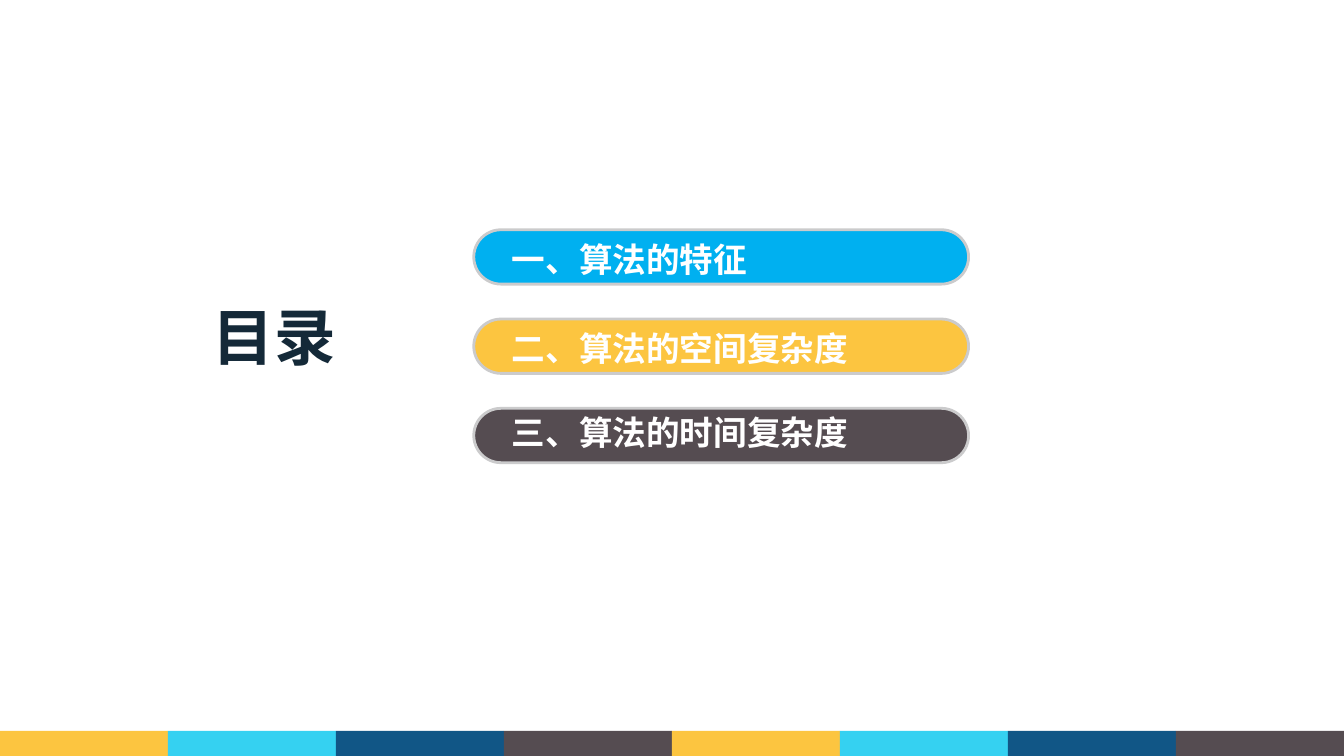
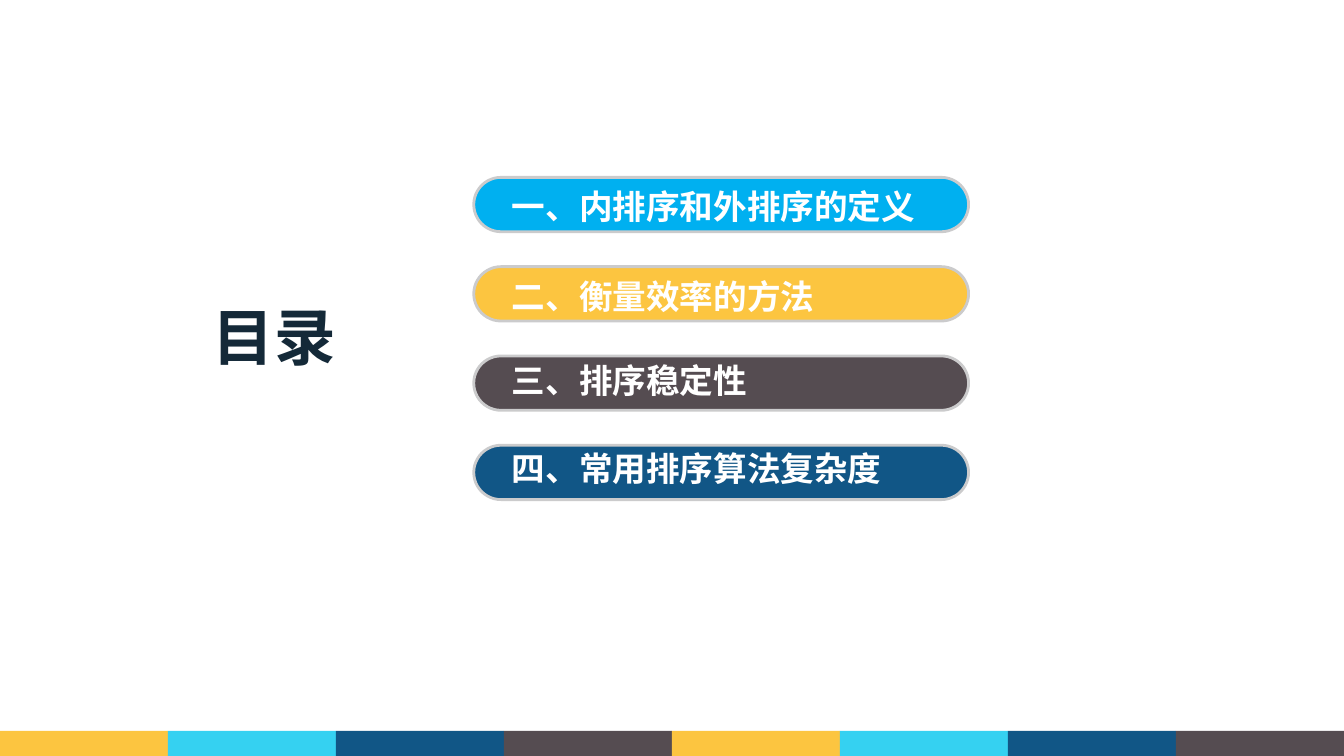
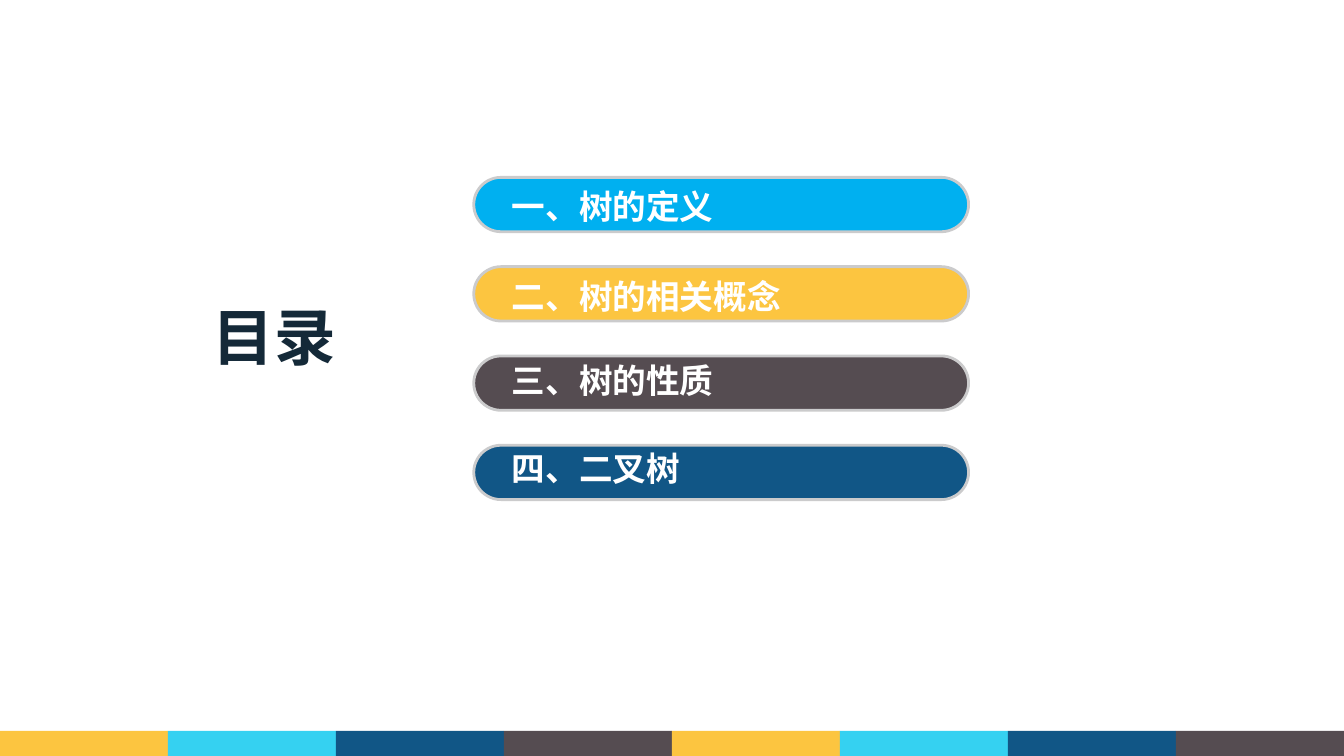
"""Builds three contents slides with coloured pills and a striped footer."""
from pptx import Presentation
from pptx.dml.color import RGBColor
from pptx.enum.shapes import MSO_SHAPE
from pptx.enum.text import MSO_AUTO_SIZE, PP_ALIGN
from pptx.oxml.ns import qn
from pptx.util import Cm, Pt

RECT = MSO_SHAPE.RECTANGLE
PILL = MSO_SHAPE.ROUNDED_RECTANGLE
GROW = MSO_AUTO_SIZE.SHAPE_TO_FIT_TEXT
LEFT, CENTER = PP_ALIGN.LEFT, PP_ALIGN.CENTER

FONT = "Noto Sans CJK SC"
YELLOW, CYAN, NAVY, BROWN = "FCC540", "35D1F1", "115686", "554C51"
BLUE, WHITE, INK, GREY = "00B0F0", "FFFFFF", "142938", "CBCBCC"
FOOTER = [YELLOW, CYAN, NAVY, BROWN] * 2
ITEM_STYLES = [(BLUE, 0.1), (YELLOW, 0.1), (BROWN, -0.03), (NAVY, -0.05)]

WIDTH, HEIGHT = 33.87, 19.05
BAND_H = 0.63
PILL_X, PILL_W, PILL_H, PITCH = 11.94, 12.47, 1.37, 2.25
TEXT_X, TEXT_W, TEXT_H = 12.65, 11.02, 1.27

CONTENTS = [
    (5.79, ["一、算法的特征", "二、算法的空间复杂度", "三、算法的时间复杂度"]),
    (4.47, ["一、内排序和外排序的定义", "二、衡量效率的方法",
            "三、排序稳定性", "四、常用排序算法复杂度"]),
    (4.47, ["一、树的定义", "二、树的相关概念", "三、树的性质", "四、二叉树"]),
]


def rgb(value):
    return RGBColor.from_string(value)


def add_box(shapes, kind, x, y, w, h, fill, line=None):
    sp = shapes.add_shape(kind, Cm(x), Cm(y), Cm(w), Cm(h))
    sp.shadow.inherit = False
    sp.fill.solid()
    sp.fill.fore_color.rgb = rgb(fill)
    if line:
        sp.line.color.rgb = rgb(line)
        sp.line.width = Pt(2)
    else:
        sp.line.fill.background()
    return sp


def add_text(s, text, x, y, w, h, size=24, color=WHITE, align=LEFT):
    tf = s.shapes.add_textbox(Cm(x), Cm(y), Cm(w), Cm(h)).text_frame
    tf.word_wrap = True
    tf.auto_size = GROW
    p = tf.paragraphs[0]
    p.alignment = align
    r = p.add_run()
    r.text = text
    r.font.size = Pt(size)
    r.font.bold = True
    r.font.name = FONT
    r.font.color.rgb = rgb(color)
    ea = r.font._element.makeelement(qn("a:ea"), {"typeface": FONT})
    r.font._element.find(qn("a:latin")).addnext(ea)


def add_footer(s):
    group = s.shapes.add_group_shape()
    w = WIDTH / len(FOOTER)
    for i, color in enumerate(FOOTER):
        add_box(group.shapes, RECT, i * w, HEIGHT - BAND_H, w, BAND_H, color)


def add_items(s, top, items):
    for i, (text, (color, shift)) in enumerate(zip(items, ITEM_STYLES)):
        y = top + i * PITCH
        sp = add_box(s.shapes, PILL, PILL_X, y, PILL_W, PILL_H, color, GREY)
        sp.adjustments[0] = 0.5
        add_text(s, text, TEXT_X, y + shift, TEXT_W, TEXT_H)


def add_contents(prs, top, items):
    s = prs.slides.add_slide(prs.slide_layouts[6])
    add_items(s, top, items)
    add_text(s, "目录", 5.05, 7.42, 3.73, 2.13, size=44, color=INK, align=CENTER)
    add_footer(s)


def main():
    prs = Presentation()
    prs.slide_width, prs.slide_height = Cm(WIDTH), Cm(HEIGHT)
    for top, items in CONTENTS:
        add_contents(prs, top, items)
    prs.save("out.pptx")


if __name__ == "__main__":
    main()
